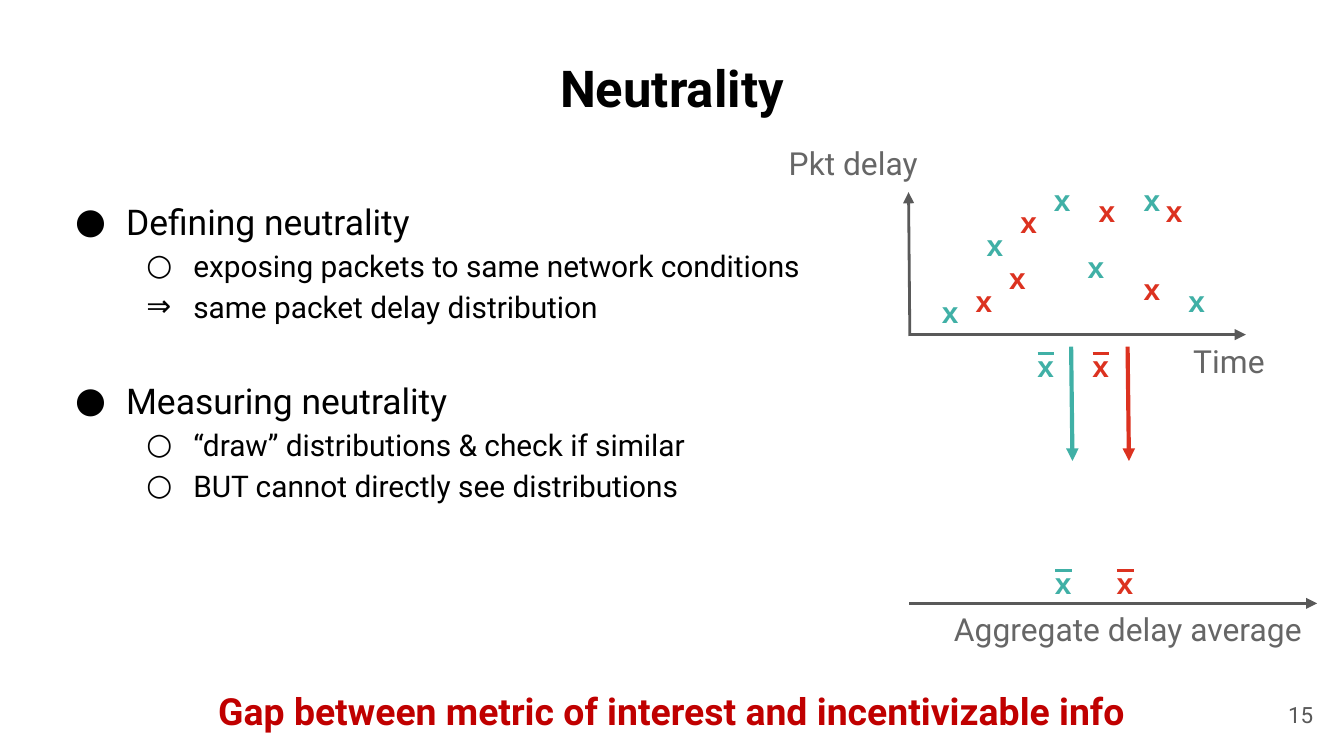
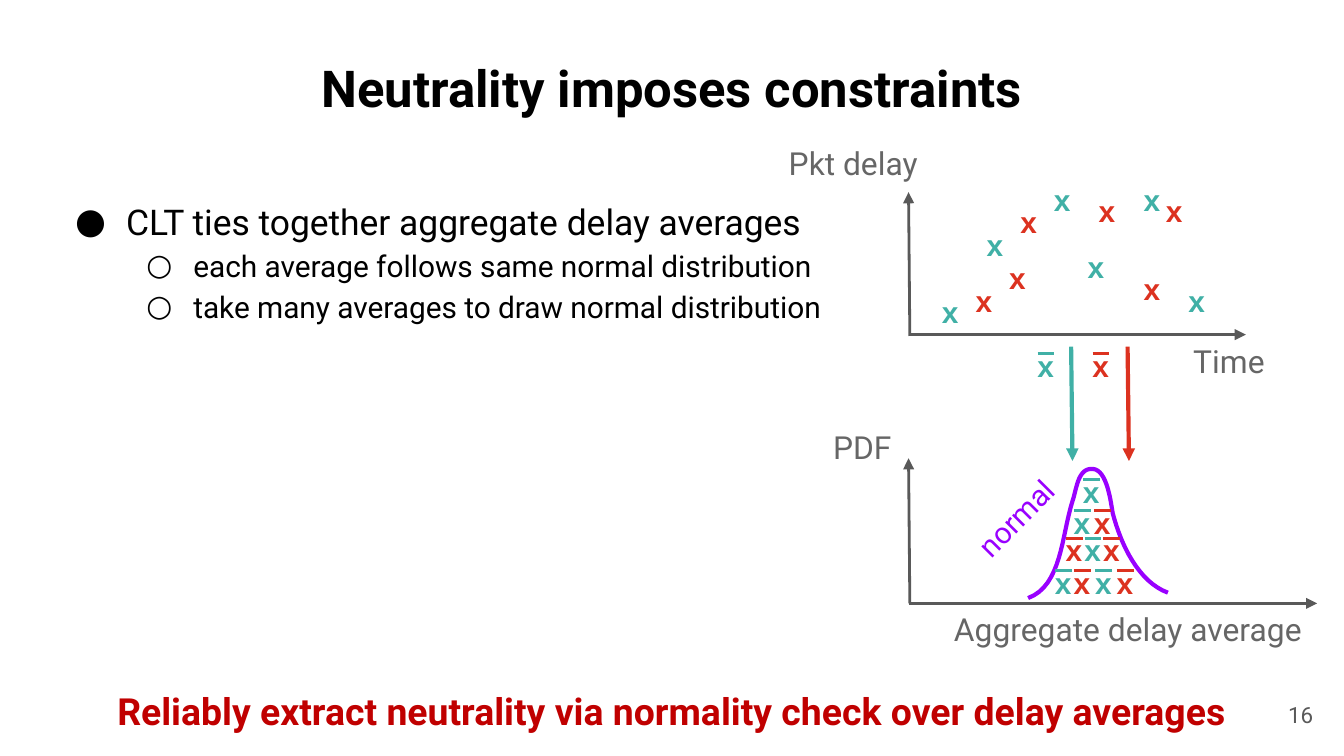
from dataclasses import dataclass
from itertools import pairwise
from typing import Any, NamedTuple

from lxml import etree
from pptx import Presentation
from pptx import util as u
from pptx.dml.color import RGBColor
from pptx.enum import shapes, text
from pptx.oxml import ns

# The slide is a grid of square cells, 100 columns by 56.25 rows.
COLUMNS, ROWS = 100, 56.25
CELL = u.Inches(10) // COLUMNS
SCATTER_STEP = 10 / 12  # cells between neighbouring scatter positions
CURVE_STEPS = 16


@dataclass(frozen=True)
class Theme:
    font: str = "Roboto"
    mark_font: str = "Arial"
    paper: str = "FFFFFF"
    ink: str = "000000"
    label: str = "666666"
    axis: str = "595959"
    takeaway: str = "C00000"
    teal: str = "40B0A6"
    red: str = "DC3220"
    violet: str = "9900FF"
    title_size: float = 27.2
    takeaway_size: float = 20
    topic_size: float = 19
    label_size: float = 17
    detail_size: float = 16
    number_size: float = 12
    thin: float = 1.5
    thick: float = 2.25


THEME = Theme()


class Area(NamedTuple):
    column: float
    row: float
    columns: float
    rows: float


class Label(NamedTuple):
    words: str
    area: Area


class Stroke(NamedTuple):
    start: tuple[float, float]
    end: tuple[float, float]
    color: str
    width: float = THEME.thin
    arrow: str = ""  # "headEnd" at the start, "tailEnd" at the end


class Mark(NamedTuple):
    column: float
    row: float
    color: str


class Bullet(NamedTuple):
    words: str
    symbol: str = "○"
    level: int = 1
    gap: float = 0


@dataclass(frozen=True)
class Content:
    title: str
    takeaway: str
    number: int
    bullets: tuple[Bullet, ...]
    has_curve: bool = False


TITLE_AREA = Area(3.4, 3.2, 93.2, 6.3)
BODY_AREA = Area(3.4, 13.4, 95.9, 36)
TAKEAWAY_AREA = Area(0, 50.2, 100, 5.4)
NUMBER_AREA = Area(92.7, 51, 6, 4.3)
NORMAL_AREA = Area(70.3, 34.2, 14.5, 4.7)

LABELS = (
    Label("Time", Area(87.8, 24.4, 17.9, 4.9)),
    Label("Pkt delay", Area(57.7, 9.7, 16.1, 4.9)),
    Label("Aggregate delay average", Area(70, 44.4, 40.6, 4.9)),
)
PDF_LABEL = Label("PDF", Area(61, 30.8, 16.1, 4.9))

STROKES = (
    Stroke((67.6, 14.3), (67.7, 25), THEME.axis, arrow="headEnd"),
    Stroke((92.7, 24.9), (67.6, 24.9), THEME.axis, arrow="headEnd"),
    Stroke((98, 44.9), (67.6, 44.9), THEME.axis, arrow="headEnd"),
    Stroke((79.7, 25.8), (79.8, 34.3), THEME.teal, THEME.thick, "tailEnd"),
    Stroke((83.9, 25.8), (84, 34.3), THEME.red, THEME.thick, "tailEnd"),
)
PDF_AXIS = Stroke((67.6, 34.1), (67.7, 44.9), THEME.axis, arrow="headEnd")

# Scatter positions, counted in steps from the upper left one.
SCATTER_ORIGIN = (69.1, 12.5)
SCATTER = {
    THEME.teal: ((0, 10), (4, 4), (10, 0), (13, 6), (18, 0), (22, 9)),
    THEME.red: ((3, 9), (6, 7), (7, 2), (14, 1), (18, 8), (20, 1)),
}

AVERAGES = (
    Mark(82.1, 41, THEME.red),
    Mark(77.5, 41, THEME.teal),
    Mark(76.2, 24.85, THEME.teal),
    Mark(80.3, 24.85, THEME.red),
)
STACKED_AVERAGES = (
    Mark(79.6, 34.25, THEME.teal),
    Mark(78.9, 36.55, THEME.teal),
    Mark(80.4, 36.55, THEME.red),
    Mark(78.3, 38.6, THEME.red),
    Mark(79.7, 38.6, THEME.teal),
    Mark(81.1, 38.6, THEME.red),
    Mark(78.9, 41, THEME.red),
    Mark(80.5, 41, THEME.teal),
)

# Bell curve: a start, then two handles and an end for each cubic piece.
BELL = (
    (76.5, 44.5), (79, 43.6), (79, 39.8), (79.8, 37.3),
    (80.1, 36.4), (80.2, 35), (81.1, 34.9),
    (82.3, 34.7), (82.6, 37), (82.8, 38.2),
    (83.4, 40.5), (84.7, 43.3), (86.9, 44.1),
)

CONTENTS = (
    Content(
        "Neutrality",
        "Gap between metric of interest and incentivizable info",
        15,
        (
            Bullet("Defining neutrality", "●", 0),
            Bullet("exposing packets to same network conditions"),
            Bullet("same packet delay distribution", "⇒"),
            Bullet("Measuring neutrality", "●", 0, gap=25.6),
            Bullet("“draw” distributions & check if similar"),
            Bullet("BUT cannot directly see distributions"),
        ),
    ),
    Content(
        "Neutrality imposes constraints",
        "Reliably extract neutrality via normality check over delay averages",
        16,
        (
            Bullet("CLT ties together aggregate delay averages", "●", 0),
            Bullet("each average follows same normal distribution"),
            Bullet("take many averages to draw normal distribution"),
        ),
        has_curve=True,
    ),
)


def cells(count: float) -> int:
    return round(count * CELL)


def assign(target: Any, values: dict[str, Any]) -> None:
    for name, value in values.items():
        setattr(target, name, value)


def add_xml(parent: Any, tag: str, **attributes: str) -> Any:
    return etree.SubElement(parent, ns.qn(tag), attributes)


def write(para: Any, words: str, size: float, color: str,
          bold: bool = False, font: str = THEME.font) -> None:
    span = para.add_run()
    span.text = words
    assign(span.font, {"name": font, "size": u.Pt(size), "bold": bold})
    span.font.color.rgb = RGBColor.from_string(color)


def set_frame(box: Any, area: Area, grow: bool = False,
              anchor: Any = text.MSO_ANCHOR.TOP) -> Any:
    """Place a box, give it even insets and return its first paragraph."""
    sides = zip(("left", "top", "width", "height"), area)
    assign(box, {side: cells(count) for side, count in sides})
    fit = text.MSO_AUTO_SIZE.SHAPE_TO_FIT_TEXT if grow else text.MSO_AUTO_SIZE.NONE
    margins = ("margin_left", "margin_top", "margin_right", "margin_bottom")
    assign(box.text_frame, {
        "word_wrap": True, "auto_size": fit, "vertical_anchor": anchor,
        **dict.fromkeys(margins, cells(1)),
    })
    return box.text_frame.paragraphs[0]


def add_box(page: Any, area: Area, **frame: Any) -> tuple[Any, Any]:
    box = page.shapes.add_textbox(0, 0, CELL, CELL)
    return box, set_frame(box, area, **frame)


def draw_label(page: Any, label: Label) -> None:
    _, para = add_box(page, label.area, grow=True)
    write(para, label.words, THEME.label_size, THEME.label)


def draw_stroke(page: Any, stroke: Stroke) -> None:
    ends = [cells(count) for count in (*stroke.start, *stroke.end)]
    line = page.shapes.add_connector(shapes.MSO_CONNECTOR.STRAIGHT, *ends)
    line.line.color.rgb = RGBColor.from_string(stroke.color)
    line.line.width = u.Pt(stroke.width)
    if stroke.arrow:
        add_xml(line.line._get_or_add_ln(), f"a:{stroke.arrow}", type="triangle")
    add_xml(line._element.spPr, "a:effectLst")


def draw_mark(page: Any, mark: Mark, columns: float = 3.2) -> None:
    _, para = add_box(page, Area(mark.column, mark.row, columns, 4.7), grow=True)
    write(para, "x", THEME.detail_size, mark.color, True, THEME.mark_font)


def draw_average(page: Any, mark: Mark) -> None:
    """Draw an x with a bar over it."""
    draw_mark(page, mark, columns=2.4)
    left, row = mark.column + 1, mark.row + 1.45
    draw_stroke(page, Stroke((left, row), (left + 1.25, row), mark.color))


def draw_delay_plots(page: Any) -> None:
    for stroke in STROKES:
        draw_stroke(page, stroke)
    for label in LABELS:
        draw_label(page, label)
    left, top = SCATTER_ORIGIN
    for color, steps in SCATTER.items():
        for across, down in steps:
            draw_mark(page, Mark(left + across * SCATTER_STEP,
                                 top + down * SCATTER_STEP, color))
    for average in AVERAGES:
        draw_average(page, average)


def bell_points() -> list[tuple[int, int]]:
    points = []
    for first, last in pairwise(range(0, len(BELL), 3)):
        corners = BELL[first:last + 1]
        for step in range(1, CURVE_STEPS + 1):
            t = step / CURVE_STEPS
            weights = ((1 - t) ** 3, 3 * t * (1 - t) ** 2, 3 * t * t * (1 - t), t ** 3)
            points.append(tuple(
                cells(sum(w * value for w, value in zip(weights, values)))
                for values in zip(*corners)))
    return points


def draw_normal_curve(page: Any) -> None:
    draw_stroke(page, PDF_AXIS)
    draw_label(page, PDF_LABEL)
    box, para = add_box(page, NORMAL_AREA, grow=True)
    box.rotation = 314.8
    write(para, "normal", THEME.detail_size, THEME.violet)
    builder = page.shapes.build_freeform(*map(cells, BELL[0]))
    builder.add_line_segments(bell_points(), close=False)
    curve = builder.convert_to_shape()
    curve.shadow.inherit = False
    curve.fill.background()
    curve.line.color.rgb = RGBColor.from_string(THEME.violet)
    curve.line.width = u.Pt(THEME.thick)
    for average in STACKED_AVERAGES:
        draw_average(page, average)


def draw_bullets(page: Any, bullets: tuple[Bullet, ...]) -> None:
    box, para = add_box(page, BODY_AREA)
    for index, bullet in enumerate(bullets):
        if index:
            para = box.text_frame.add_paragraph()
        assign(para, {"level": bullet.level, "line_spacing": 1.15,
                      "space_before": u.Pt(bullet.gap)})
        size, hang = ((THEME.topic_size, 3.8), (THEME.detail_size, 3.5))[bullet.level]
        write(para, bullet.words, size, THEME.ink)
        layout = para._p.get_or_add_pPr()
        layout.set("marL", str(cells(5 * (bullet.level + 1))))
        layout.set("indent", str(-cells(hang)))
        add_xml(add_xml(layout, "a:buClr"), "a:srgbClr", val=THEME.ink)
        add_xml(layout, "a:buFont", typeface=THEME.font)
        add_xml(layout, "a:buChar", char=bullet.symbol)


def draw_page(deck: Any, content: Content) -> None:
    page = deck.slides.add_slide(deck.slide_layouts.get_by_name("Title Only"))
    page.background.fill.solid()
    page.background.fill.fore_color.rgb = RGBColor.from_string(THEME.paper)
    if content.has_curve:
        draw_normal_curve(page)
    draw_delay_plots(page)

    para = set_frame(page.shapes.title, TITLE_AREA)
    para.alignment = text.PP_ALIGN.CENTER
    write(para, content.title, THEME.title_size, THEME.ink, True)
    _, para = add_box(page, TAKEAWAY_AREA, grow=True)
    para.alignment = text.PP_ALIGN.CENTER
    write(para, content.takeaway, THEME.takeaway_size, THEME.takeaway, True)
    _, para = add_box(page, NUMBER_AREA, anchor=text.MSO_ANCHOR.MIDDLE)
    para.alignment = text.PP_ALIGN.RIGHT
    write(para, str(content.number), THEME.number_size, THEME.axis)
    draw_bullets(page, content.bullets)


def main() -> None:
    deck = Presentation()
    assign(deck, {"slide_width": cells(COLUMNS), "slide_height": cells(ROWS)})
    for content in CONTENTS:
        draw_page(deck, content)
    deck.save("out.pptx")


if __name__ == "__main__":
    main()
